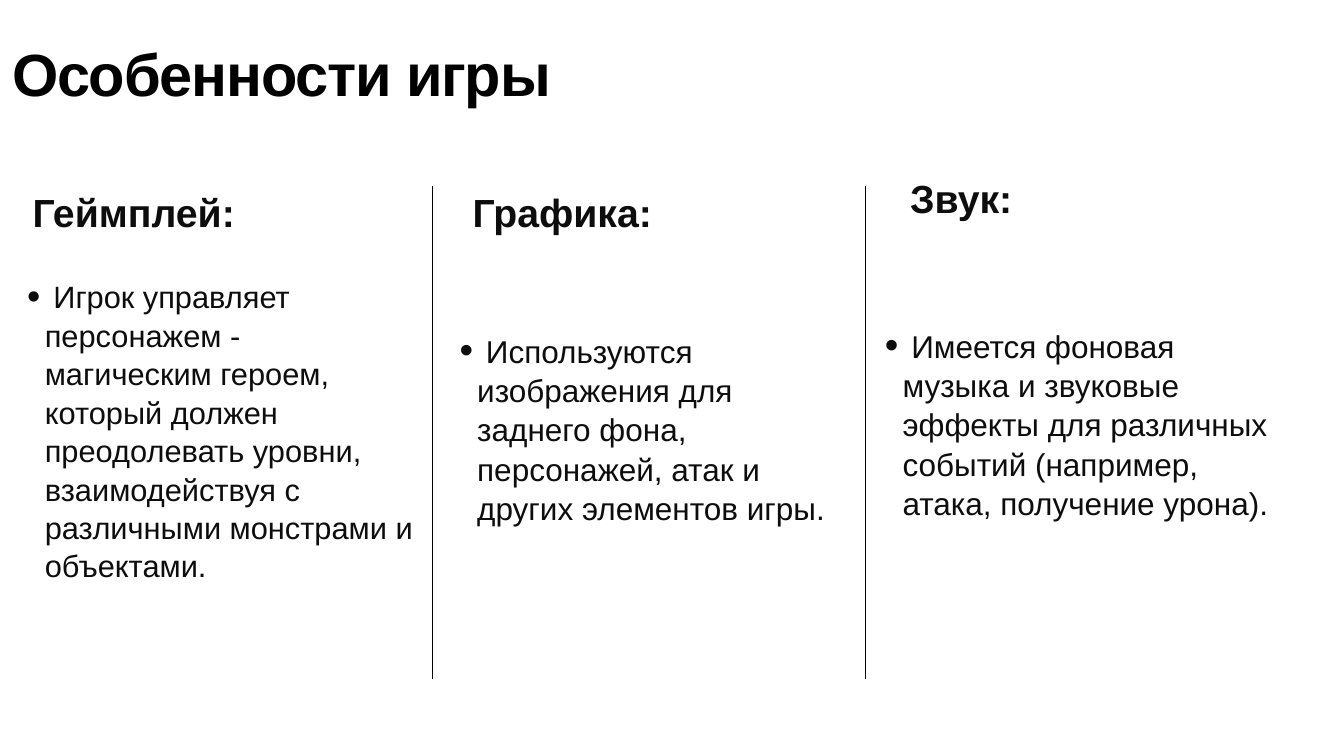
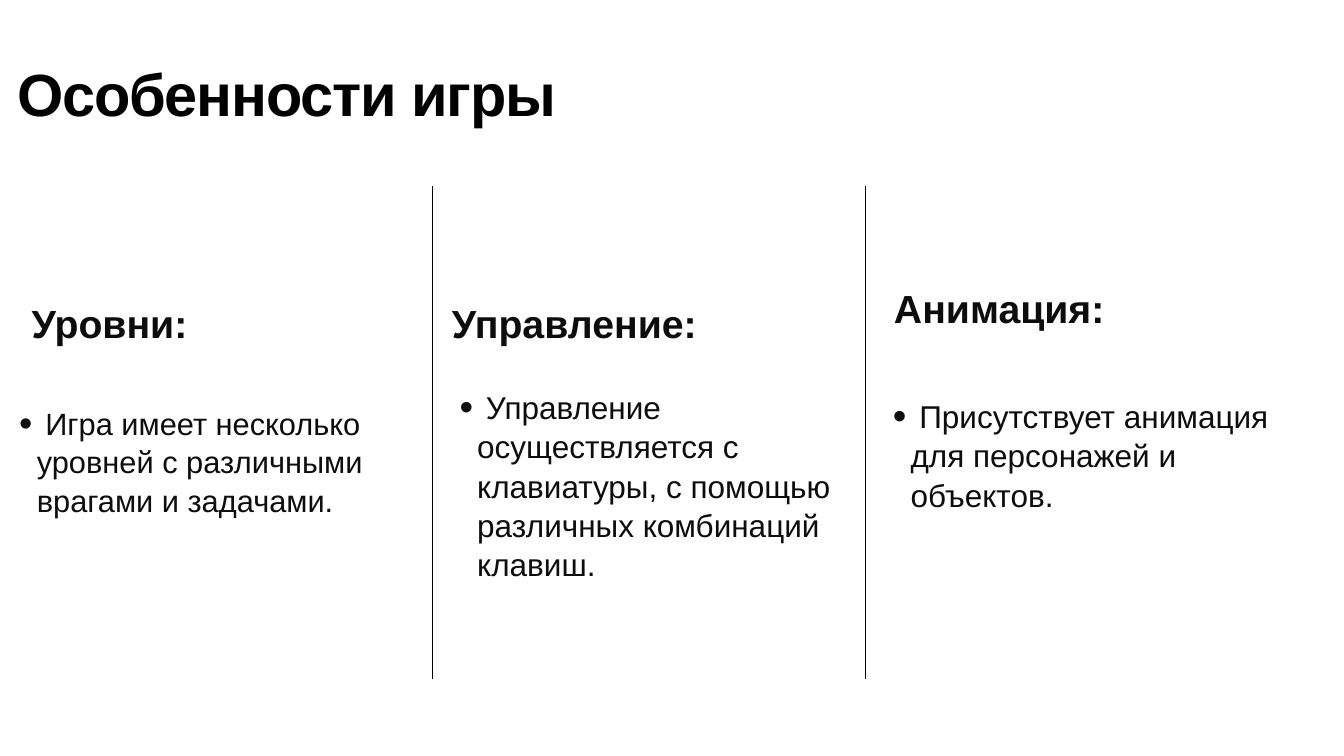
from lxml.etree import SubElement
from pptx import Presentation
from pptx.dml.color import RGBColor
from pptx.enum.shapes import MSO_CONNECTOR as Connector
from pptx.enum.text import MSO_ANCHOR as Anchor
from pptx.oxml.ns import qn
from pptx.util import Inches, Pt

FONT = "Arial"
BLACK = "000000"
INK = "0D0D0D"
TITLE = "Особенности игры"
DIVIDERS = (8.58, 17.18)
DIVIDER_TOP, DIVIDER_BOTTOM = 3.69, 13.48
HEADING_SIZES = ((11.5, 2.35), (11.5, 2.35), (7.16, 2.93))
BODY_SIZES = ((8.08, 10.93), (7.94, 6.63), (8.08, 5.55))
BODY_POINTS = (44, 45, 45)

# Each column: heading, its position, body, its position
FEATURE_SLIDES = (
    ((0.18, 0.79), (
        ("Геймплей:", (0.59, 3.68),
         " Игрок управляет персонажем -\vмагическим героем, который должен "
         "преодолевать уровни, взаимодействуя с различными монстрами и объектами.",
         (0.33, 5.43)),
        ("Графика:", (9.32, 3.68),
         " Используются изображения для заднего фона, персонажей, атак и "
         "других элементов игры.",
         (8.91, 6.49)),
        ("Звук:", (18, 3.39),
         " Имеется фоновая музыка и звуковые эффекты для различных событий "
         "(например, атака, получение урона).",
         (17.35, 6.39)),
    )),
    ((0.28, 1.18), (
        ("Уровни:", (0.57, 5.88),
         " Игра имеет несколько уровней с различными врагами и задачами.",
         (0.17, 7.94)),
        ("Управление:", (8.91, 5.88),
         " Управление осуществляется с клавиатуры, с помощью различных "
         "комбинаций клавиш.",
         (8.91, 7.61)),
        ("Анимация:", (17.68, 5.59),
         " Присутствует анимация для персонажей и объектов.",
         (17.51, 7.79)),
    )),
)


def color(value):
    return RGBColor.from_string(value)


class FeatureDeck:
    def __init__(self):
        self.prs = Presentation()
        self.prs.slide_width = Inches(26.67)
        self.prs.slide_height = Inches(15)
        self.slide = None

    def new_slide(self):
        self.slide = self.prs.slides.add_slide(self.prs.slide_layouts[6])
        fill = self.slide.background.fill
        fill.solid()
        fill.fore_color.rgb = color("FFFFFF")

    def text(self, wording, position, size, points, ink=INK, bold=False):
        """Add a wrapped text box and return its frame."""
        box = self.slide.shapes.add_textbox(*map(Inches, (*position, *size)))
        frame = box.text_frame
        frame.word_wrap = True
        frame.margin_left = frame.margin_right = Inches(0.06)
        frame.margin_top = frame.margin_bottom = Inches(0.06)
        paragraph = frame.paragraphs[0]
        paragraph.text = wording
        for run in paragraph.runs:
            run.font.name = FONT
            run.font.size = Pt(points)
            run.font.bold = bold
            run.font.color.rgb = color(ink)
        return frame

    def title(self, wording, position):
        frame = self.text(wording, position, (24.03, 1.57), 85, BLACK, True)
        frame.vertical_anchor = Anchor.MIDDLE
        paragraph = frame.paragraphs[0]
        paragraph.line_spacing = 0.8
        paragraph.runs[0].font._element.set("spc", "-170")

    def heading(self, wording, position, size):
        self.text(wording, position, size, 56, bold=True)

    def bullet(self, wording, position, size, points):
        frame = self.text(wording, position, size, points)
        paragraph = frame.paragraphs[0]
        props = paragraph._p.get_or_add_pPr()
        props.set("marL", str(Inches(0.5)))
        props.set("indent", str(Inches(-0.35)))
        SubElement(SubElement(props, qn("a:buClr")), qn("a:srgbClr"), val=INK)
        SubElement(props, qn("a:buSzPct"), val="123000")
        SubElement(props, qn("a:buFont"), typeface=FONT)
        SubElement(props, qn("a:buChar"), char="•")
        paragraph.line_spacing = 1.04

    def divider(self, x):
        line = self.slide.shapes.add_connector(
            Connector.STRAIGHT,
            *map(Inches, (x, DIVIDER_BOTTOM, x, DIVIDER_TOP)))
        line.line.color.rgb = color(BLACK)
        line.line.width = Pt(2)
        SubElement(line._element.spPr, qn("a:effectLst"))


def main():
    deck = FeatureDeck()
    for title_position, columns in FEATURE_SLIDES:
        deck.new_slide()
        deck.title(TITLE, title_position)
        for x in DIVIDERS:
            deck.divider(x)
        for column, heading_size, body_size, points in zip(
                columns, HEADING_SIZES, BODY_SIZES, BODY_POINTS):
            heading, heading_position, body, body_position = column
            deck.heading(heading, heading_position, heading_size)
            deck.bullet(body, body_position, body_size, points)
    deck.prs.save("out.pptx")


if __name__ == "__main__":
    main()
